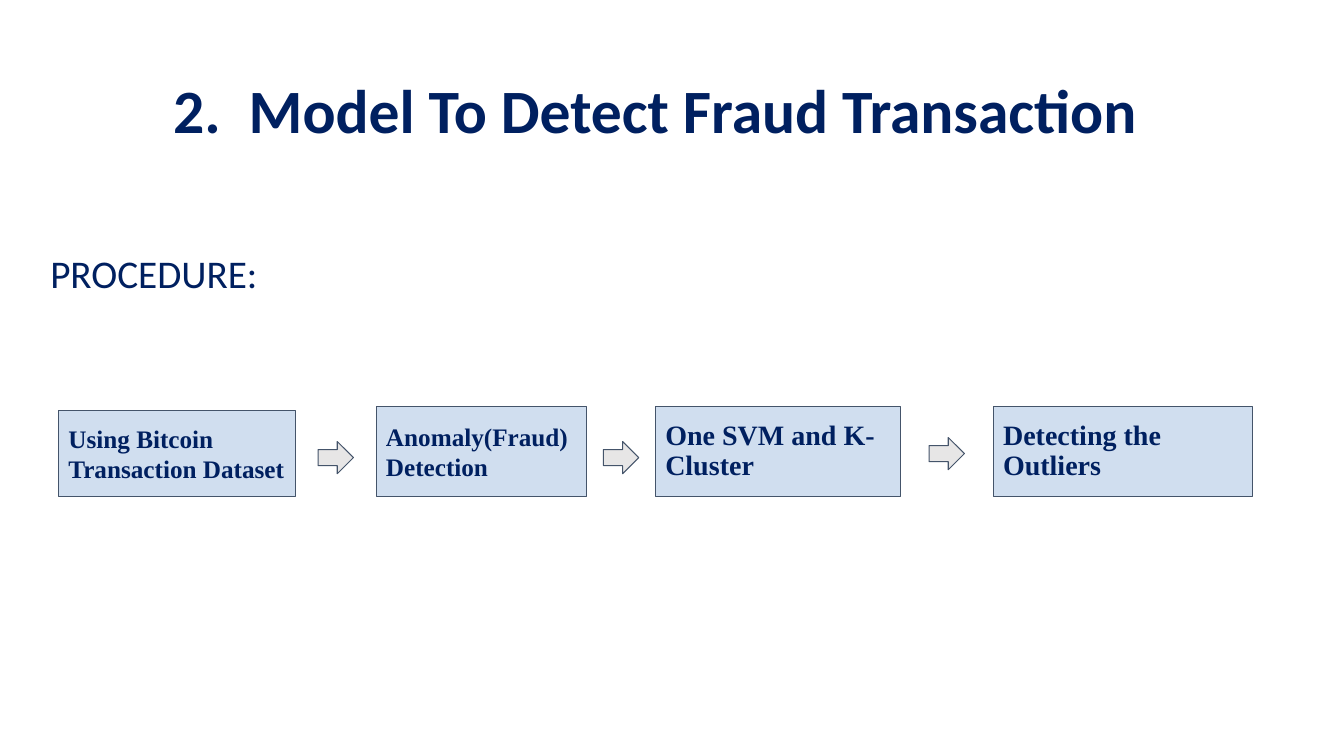
from itertools import pairwise

from pptx import Presentation
from pptx.dml.color import RGBColor
from pptx.enum.shapes import MSO_SHAPE as Preset
from pptx.enum.text import MSO_ANCHOR as Anchor, PP_ALIGN as Align
from pptx.util import Inches, Pt

THEME = {
    "ink": RGBColor.from_string("002060"),
    "step": RGBColor.from_string("D0DEEF"),
    "arrow": RGBColor.from_string("E7E6E6"),
    "outline": RGBColor.from_string("44546A"),
    "outline_width": Pt(0.75),
    "title": {"name": "Calibri", "size": Pt(44), "bold": True},
    "heading": {"name": "Calibri", "size": Pt(28), "bold": False},
    "step_small": {"name": "Times New Roman", "size": Pt(18), "bold": True},
    "step_large": {"name": "Times New Roman", "size": Pt(20), "bold": True},
}

PLAIN = {"alignment": Align.LEFT}
TIGHT = {"alignment": Align.LEFT, "line_spacing": 0.9}
SPACED = {**TIGHT, "space_before": Pt(10)}

HEADINGS = [
    (["2.  Model To Detect Fraud Transaction"], (1.62, 0.4, 10.8, 1.45), "title", TIGHT, Anchor.MIDDLE),
    (["PROCEDURE:"], (0.4, 2.48, 12.65, 3.74), "heading", SPACED, Anchor.TOP),
]

STEPS = [
    (["Using Bitcoin Transaction Dataset"], 0.58, 2.35, 0.86, "step_small", PLAIN),
    (["Anomaly(Fraud)", "Detection"], 3.73, 2.09, 0.9, "step_small", PLAIN),
    (["One SVM and K-Cluster"], 6.5, 2.43, 0.9, "step_large", SPACED),
    (["Detecting the Outliers"], 9.85, 2.57, 0.9, "step_large", SPACED),
]
STEPS_BOTTOM = 4.93
ARROW_TOPS = [4.38, 4.38, 4.34]
ARROW_WIDTH, ARROW_HEIGHT = 0.35, 0.32


def apply(target, values):
    for attribute, value in values.items():
        setattr(target, attribute, value)


def write(holder, lines, style, spacing, anchor, inset):
    frame = holder.text_frame
    apply(frame, {
        "word_wrap": True,
        "vertical_anchor": anchor,
        "margin_left": Inches(0.1),
        "margin_right": Inches(0.1),
        "margin_top": Inches(inset),
        "margin_bottom": Inches(inset),
    })
    frame.text = "\n".join(lines)
    for paragraph in frame.paragraphs:
        apply(paragraph, spacing)
        for run in paragraph.runs:
            apply(run.font, THEME[style])
            run.font.color.rgb = THEME["ink"]


def draw(slide, preset, place, fill):
    block = slide.shapes.add_shape(preset, *map(Inches, place))
    block.shadow.inherit = False
    block.fill.solid()
    block.fill.fore_color.rgb = THEME[fill]
    block.line.color.rgb = THEME["outline"]
    block.line.width = THEME["outline_width"]
    return block


def main():
    deck = Presentation()
    apply(deck, {"slide_width": Inches(13.33), "slide_height": Inches(7.5)})
    slide = deck.slides.add_slide(deck.slide_layouts[6])

    for lines, place, style, spacing, anchor in HEADINGS:
        heading = slide.shapes.add_textbox(*map(Inches, place))
        write(heading, lines, style, spacing, anchor, 0.05)

    for lines, left, width, height, style, spacing in STEPS:
        place = (left, STEPS_BOTTOM - height, width, height)
        step = draw(slide, Preset.RECTANGLE, place, "step")
        write(step, lines, style, spacing, Anchor.MIDDLE, 0.1)

    for (before, after), top in zip(pairwise(STEPS), ARROW_TOPS):
        gap_middle = (before[1] + before[2] + after[1]) / 2
        place = (gap_middle - ARROW_WIDTH / 2, top, ARROW_WIDTH, ARROW_HEIGHT)
        draw(slide, Preset.RIGHT_ARROW, place, "arrow")

    deck.save("out.pptx")


if __name__ == "__main__":
    main()
